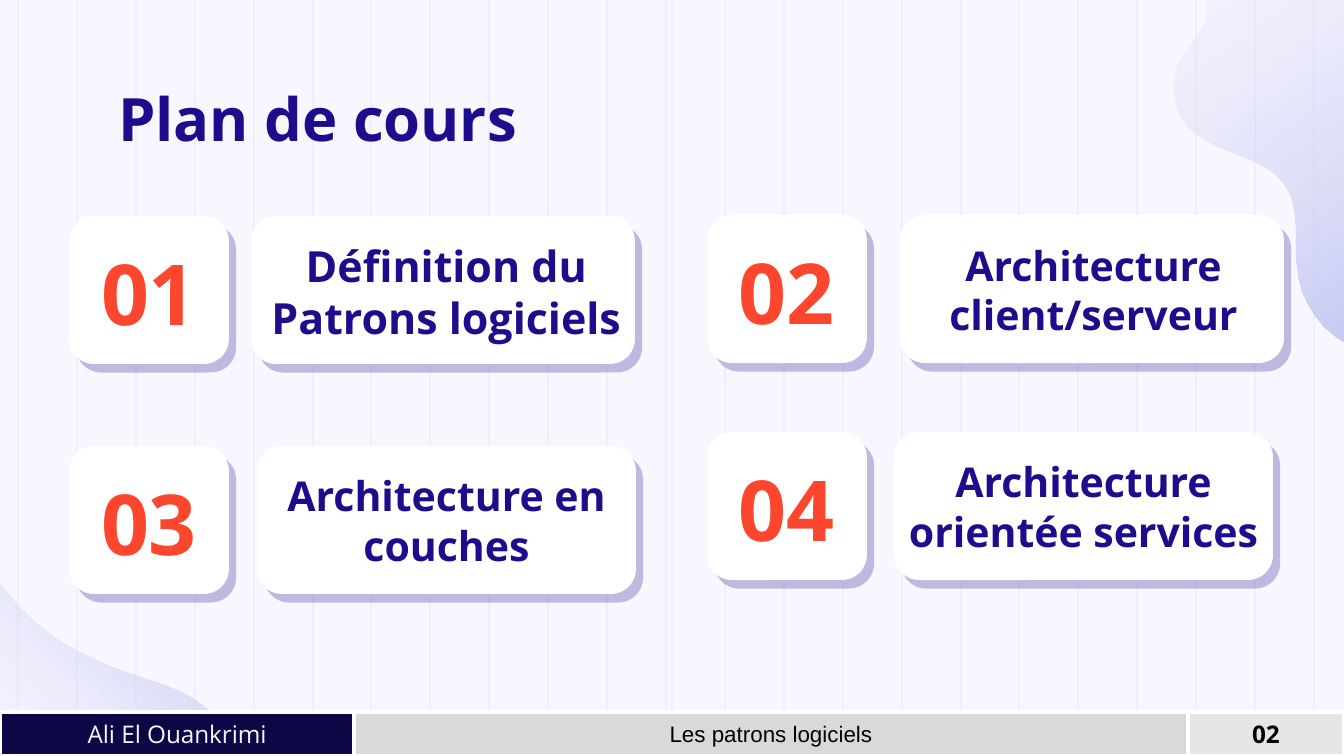
"""Build the course plan slide with its four numbered topics."""
from lxml.etree import SubElement
from pptx import Presentation
from pptx.dml.color import RGBColor
from pptx.enum.shapes import MSO_CONNECTOR, MSO_SHAPE
from pptx.enum.text import MSO_ANCHOR, PP_ALIGN
from pptx.oxml.ns import qn
from pptx.util import Pt

PX = 6804
INSET = 13
WIDE, HIGH = 1344, 756
HEX = {
    "back": "F8F6FF", "rule": "EFEEFC", "haze": "9BA6E9", "white": "FFFFFF",
    "ink": "1D0D8D", "red": "FC462D", "navy": "0E0746", "gray": "D9D9D9",
    "pale": "E7E6E6", "black": "000000",
}
RGB = {name: RGBColor.from_string(code) for name, code in HEX.items()}


def write(frame, text, size, color, bold=True, font="Open Sans", align=PP_ALIGN.CENTER):
    """Fill a frame with one formatted run."""
    frame.word_wrap = True
    frame.vertical_anchor = MSO_ANCHOR.MIDDLE
    frame.margin_left = frame.margin_right = INSET * PX
    frame.margin_top = frame.margin_bottom = INSET * PX
    para = frame.paragraphs[0]
    para.alignment = align
    run = para.add_run()
    run.text = text
    run.font.name, run.font.size, run.font.bold = font, Pt(size), bold
    run.font.color.rgb = RGB[color]


def place(kind, left, top, width, height, fill):
    """Add a filled shape measured in px."""
    shape = shapes.add_shape(kind, left * PX, top * PX, width * PX, height * PX)
    shape.shadow.inherit = False
    shape.fill.solid()
    shape.fill.fore_color.rgb = RGB[fill]
    shape.line.fill.background()
    return shape


deck = Presentation()
deck.slide_width, deck.slide_height = WIDE * PX, HIGH * PX
layout = deck.slide_layouts[5]
slide = deck.slides.add_slide(layout)
shapes = slide.shapes
slide.background.fill.solid()
slide.background.fill.fore_color.rgb = RGB["back"]
decor = layout.shapes._spTree

for x in [18 + round(1296 * i / 22) for i in range(23)] + [WIDE // 2]:
    rule = shapes.add_connector(MSO_CONNECTOR.STRAIGHT, x * PX, 0, x * PX, HIGH * PX)
    rule.line.color.rgb = RGB["rule"]
    rule.line.width = Pt(0.75)
    SubElement(rule._element.spPr, qn("a:effectLst"))
    decor.append(rule._element)

blobs = [
    (315, (243, 769), [
        (239, 736), (211, 707), (183, 692),
        (153, 679), (120, 672), (90, 657),
        (46, 637), (9, 603), (-13, 560),
        (-13, 560), (-13, 730), (-13, 730),
        (-13, 751), (4, 769), (26, 769),
    ]),
    (55, (1425, 298), [
        (1415, 321), (1387, 351), (1360, 347),
        (1323, 340), (1298, 298), (1296, 265),
        (1293, 238), (1300, 210), (1286, 187),
        (1266, 154), (1216, 156), (1189, 128),
        (1172, 110), (1168, 81), (1180, 59),
        (1188, 44), (1204, 32), (1206, 15),
        (1208, 4), (1205, -8), (1204, -19),
        (1201, -43), (1211, -77), (1234, -87),
        (1249, -94), (1272, -93), (1286, -86),
        (1301, -81), (1313, -70), (1324, -59),
        (1388, -1), (1423, 81), (1439, 169),
        (1439, 169), (1454, 241), (1425, 298),
    ]),
]
for angle, start, knots in blobs:
    pen = shapes.build_freeform(*start, scale=PX)
    pen.add_line_segments(knots, close=True)
    blob = pen.convert_to_shape()
    blob.shadow.inherit = False
    blob.line.fill.background()
    blob.fill.gradient()
    blob.fill.gradient_angle = 360 - angle
    for stop, name in zip(blob.fill.gradient_stops, ("rule", "haze")):
        stop.color.rgb = RGB[name]
    tints = blob._element.spPr.iter(qn("a:srgbClr"))
    for tint, alpha in zip(tints, (13, 69)):
        SubElement(tint, qn("a:alpha"), val=str(alpha * 1000))
    legs = list(blob._element.iter(qn("a:lnTo")))
    for one, two, end in zip(legs[::3], legs[1::3], legs[2::3]):
        curve = one.makeelement(qn("a:cubicBezTo"))
        one.addprevious(curve)
        for leg in (one, two, end):
            curve.append(leg[0])
            leg.getparent().remove(leg)
    decor.append(blob._element)

title = shapes.title
title.left, title.top, title.width, title.height = [n * PX for n in (105, 69, 566, 103)]
write(title.text_frame, "Plan de cours", 32, "ink", align=PP_ALIGN.LEFT)
title.text_frame.vertical_anchor = MSO_ANCHOR.TOP

CARD = 148
topics = [
    ("01", "Définition du Patrons logiciels", 23, (69, 216), (251, 384), (257, 233, 379, 117)),
    ("02", "Architecture client/serveur", 22, (707, 215), (900, 384), (894, 216, 399, 147)),
    ("03", "Architecture en couches", 22, (69, 446), (257, 379), (257, 446, 379, CARD)),
    ("04", "Architecture orientée services", 22, (707, 432), (894, 379), (894, 432, 379, CARD)),
]
for num, label, size, (x, y), card, area in topics:
    for left, width in ((x, 160), card):
        tile = place(MSO_SHAPE.ROUNDED_RECTANGLE, left, y, width, CARD, "white")
        tile.adjustments[0] = 0.17
        glow = SubElement(
            tile._element.spPr.find(qn("a:effectLst")), qn("a:outerShdw"),
            blurRad="0", dist=str(Pt(6)), dir=str(50 * 60000),
            algn="bl", rotWithShape="0",
        )
        tint = SubElement(glow, qn("a:srgbClr"), val=HEX["ink"])
        SubElement(tint, qn("a:alpha"), val="25000")
    box = shapes.add_textbox(x * PX, (y + 17) * PX, 160 * PX, 117 * PX)
    write(box.text_frame, num, 45, "red")
    box = shapes.add_textbox(*[n * PX for n in area])
    write(box.text_frame, label, size, "ink")

footer = [
    (354, 834, "gray", "Les patrons logiciels", 12, "black", False, "Arial"),
    (0, 354, "navy", "Ali El Ouankrimi", 13, "back", False, "Open Sans"),
    (1188, 156, "pale", "02", 13, "black", True, "Open Sans"),
]
for left, width, fill, text, size, color, bold, font in footer:
    bar = place(MSO_SHAPE.RECTANGLE, left, 712, width, 44, fill)
    bar.line.color.rgb = RGB["white"]
    bar.line.width = Pt(2)
    write(bar.text_frame, text, size, color, bold, font)
    bar.text_frame.margin_top = bar.text_frame.margin_bottom = 0

deck.save("out.pptx")
